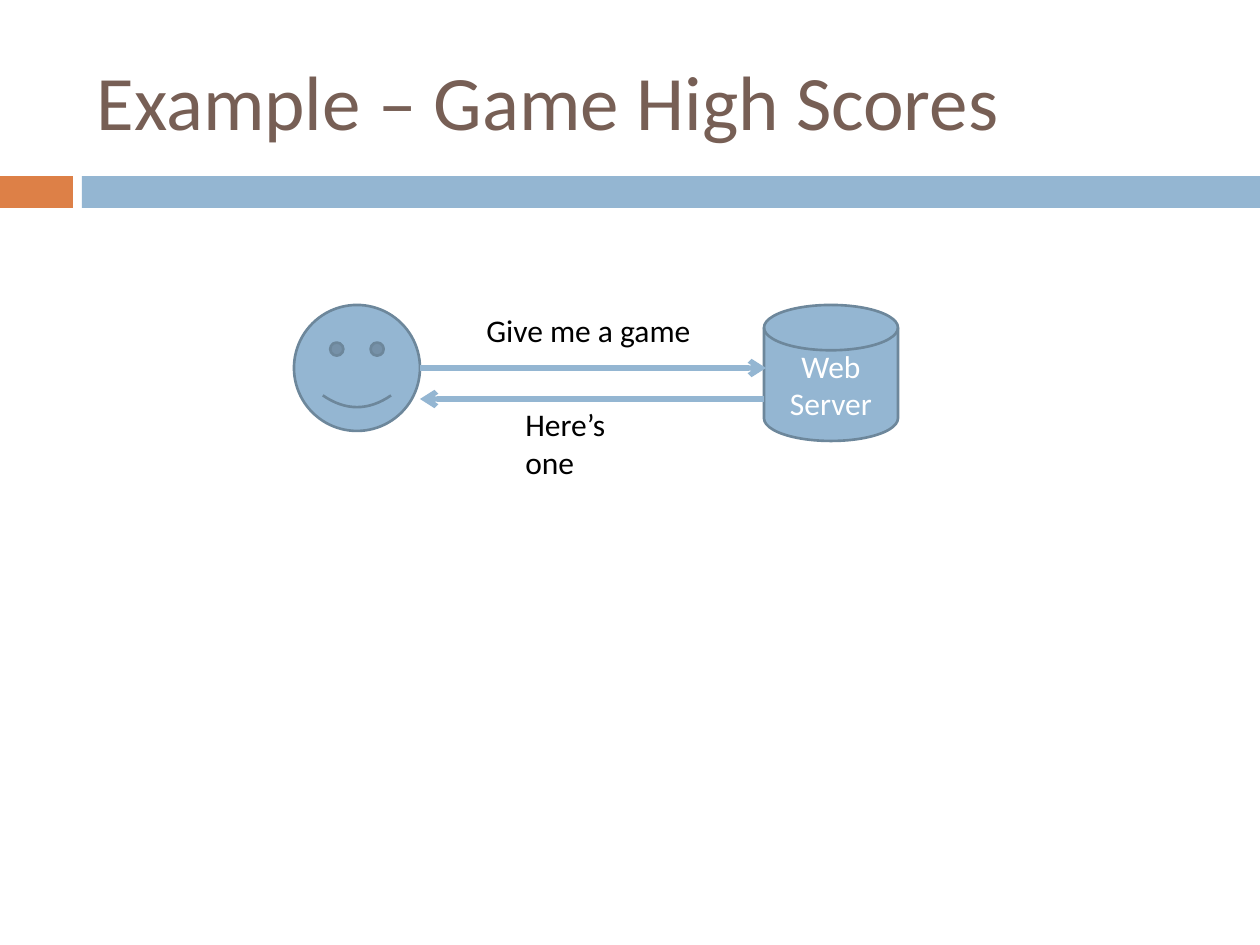
from lxml.etree import SubElement
from pptx import Presentation
from pptx.dml.color import RGBColor
from pptx.enum.shapes import MSO_CONNECTOR, MSO_SHAPE
from pptx.enum.text import MSO_ANCHOR, PP_ALIGN
from pptx.oxml.ns import qn
from pptx.util import Pt

# Content, lengths in px
PX = 914400 / 126
FONT = "Calibri"
COLORS = {"title": "775F55", "accent": "DD8047", "blue": "94B6D2",
          "outline": "6D879B", "white": "FFFFFF", "black": "000000"}
TITLE = ("Example – Game High Scores", (84, 32, 1124, 136))
BARS = [("accent", (0, 176, 73, 32)), ("blue", (82, 176, 1178, 32))]
PLAYER = (MSO_SHAPE.SMILEY_FACE, (294, 305, 126, 126), [])
SERVER = (MSO_SHAPE.FLOWCHART_MAGNETIC_DISK, (764, 305, 134, 136),
          ["Web", "Server"])
ARROWS = [(420, 766, 368), (764, 420, 399)]  # from x, to x, y
LABELS = [("Give me a game", (474, 305, 238, 50)),
          ("Here’s one", (513, 399, 158, 50))]


def emu(*lengths):
    return [round(n * PX) for n in lengths]


def rgb(name):
    return RGBColor.from_string(COLORS[name])


def write(tf, lines, size, color, align=PP_ALIGN.LEFT):
    tf.word_wrap = True
    for i, line in enumerate(lines):
        p = tf.paragraphs[0] if i == 0 else tf.add_paragraph()
        p.text = line
        p.alignment = align
        p.font.name, p.font.size = FONT, Pt(size)
        p.font.color.rgb = rgb(color)


def add_shape(s, kind, box, fill, outline=None):
    sp = s.shapes.add_shape(kind, *emu(*box))
    sp.shadow.inherit = False
    sp.fill.solid()
    sp.fill.fore_color.rgb = rgb(fill)
    if outline:
        sp.line.color.rgb = rgb(outline)
        sp.line.width = Pt(1.5)
    else:
        sp.line.fill.background()
    return sp


def add_arrow(s, x1, x2, y):
    line = s.shapes.add_connector(MSO_CONNECTOR.STRAIGHT, *emu(x1, y, x2, y))
    line.line.color.rgb = rgb("blue")
    line.line.width = Pt(3)
    SubElement(line.line._get_or_add_ln(), qn("a:tailEnd"), type="arrow")
    SubElement(line._element.spPr, qn("a:effectLst"))


def main():
    prs = Presentation()
    prs.slide_width, prs.slide_height = emu(1260, 945)
    s = prs.slides.add_slide(prs.slide_layouts[5])

    # Title and bars
    text, box = TITLE
    title = s.shapes.title
    title.left, title.top, title.width, title.height = emu(*box)
    title.text_frame.vertical_anchor = MSO_ANCHOR.MIDDLE
    write(title.text_frame, [text], 44, "title")
    for color, box in BARS:
        add_shape(s, MSO_SHAPE.RECTANGLE, box, color)

    # Player and server
    for kind, box, lines in (PLAYER, SERVER):
        sp = add_shape(s, kind, box, "blue", "outline")
        sp.text_frame.vertical_anchor = MSO_ANCHOR.MIDDLE
        write(sp.text_frame, lines, 18, "white", PP_ALIGN.CENTER)

    # Request and reply
    for arrow in ARROWS:
        add_arrow(s, *arrow)
    for text, box in LABELS:
        label = s.shapes.add_textbox(*emu(*box))
        write(label.text_frame, [text], 18, "black")

    prs.save("out.pptx")


if __name__ == "__main__":
    main()
